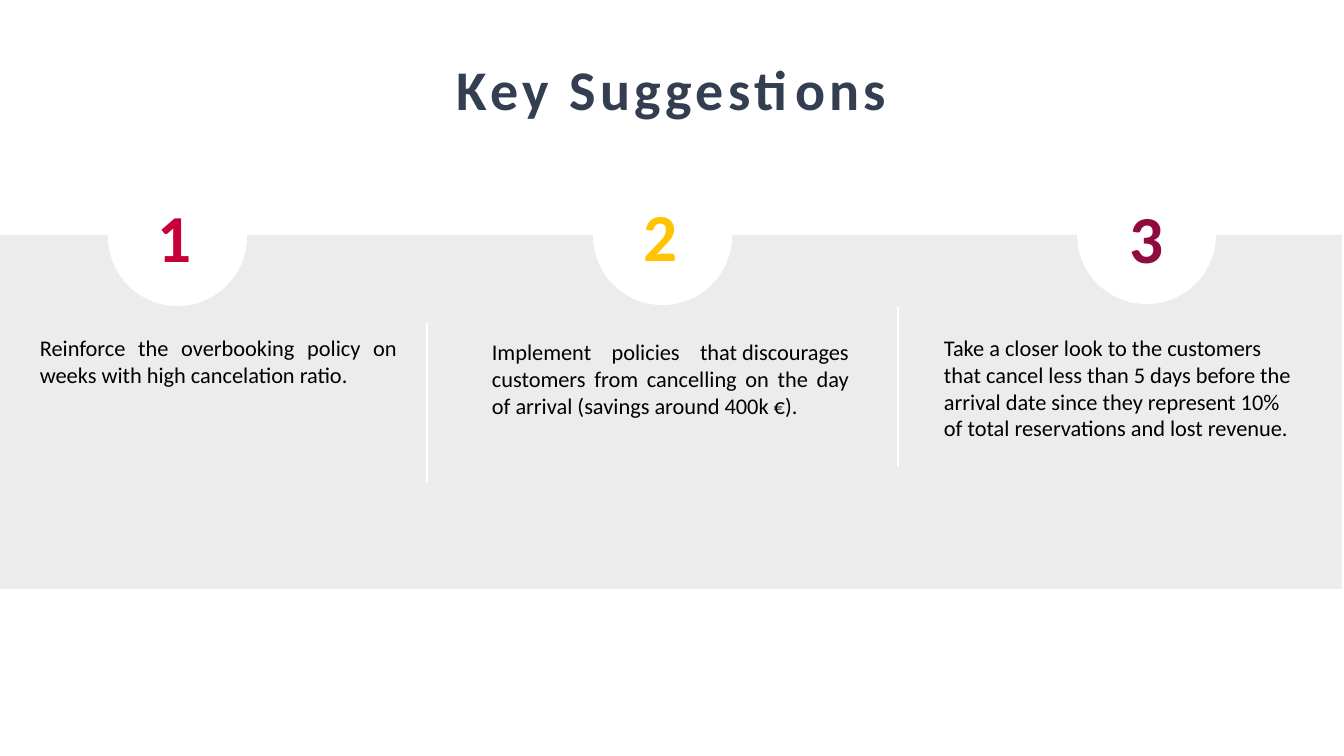
"""Build the Key Suggestions slide: three numbered tips on a grey band."""
import pptx
import pptx.util
import pptx.dml.color
import pptx.enum.shapes
import pptx.enum.text
import pptx.oxml

ALIGN = pptx.enum.text.PP_ALIGN
ANCHOR = pptx.enum.text.MSO_ANCHOR
SHAPE = pptx.enum.shapes.MSO_SHAPE

TITLE = "Key Suggestions"
TIPS = [
    {"text": "Reinforce the overbooking policy on weeks with high cancelation ratio.",
     "hue": "C70039", "box": (30, 329, 377, 65), "align": ALIGN.JUSTIFY,
     "disc": (108, 167), "digit": (147, 206)},
    {"text": "Implement policies that\u00a0discourages customers from cancelling "
             "on the day of arrival (savings around 400k €).",
     "hue": "FFC300", "box": (482, 333, 377, 92), "align": ALIGN.JUSTIFY,
     "disc": (593, 166), "digit": (633, 205)},
    {"text": "Take a closer look to the customers that cancel less than 5 days "
             "before the arrival date since they represent 10% of total "
             "reservations and lost revenue.",
     "hue": "900C3F", "box": (934, 329, 371, 119), "align": ALIGN.LEFT,
     "disc": (1077, 165), "digit": (1119, 207)},
]
RULES = [(427, 323), (898, 307)]
BAND = (0, 235, 1342, 354)
DISC, RULE = 139, 160
WIDE, HIGH = 1344, 756
SCALE = 12192000 / WIDE


def px(*nums):
    """Turn pixel lengths into EMU."""
    return [pptx.util.Emu(round(n * SCALE)) for n in nums]


def color(code):
    """Give the colour for a hex string."""
    return pptx.dml.color.RGBColor.from_string(code)


def plain(slide, kind, box, fill):
    """Add a filled shape with no line or shadow."""
    shape = slide.shapes.add_shape(kind, *px(*box))
    shape.shadow.inherit = False
    shape.fill.solid()
    shape.fill.fore_color.rgb = color(fill)
    shape.line.fill.background()


def rule(slide, x, y):
    """Add a white upright rule."""
    line = slide.shapes.add_connector(
        pptx.enum.shapes.MSO_CONNECTOR.STRAIGHT, *px(x, y, x, y + RULE))
    line.line.color.rgb = color("FFFFFF")
    line.line.width = pptx.util.Pt(1.5)
    props = line._element.spPr
    props.append(props.makeelement(pptx.oxml.ns.qn("a:effectLst"), {}))


def write(shape, text, size, hue, align, bold=False, anchor=ANCHOR.TOP):
    """Put one styled paragraph in a shape and return it."""
    frame = shape.text_frame
    frame.word_wrap = True
    frame.auto_size = pptx.enum.text.MSO_AUTO_SIZE.NONE
    frame.vertical_anchor = anchor
    para = frame.paragraphs[0]
    para.text = text
    para.alignment = align
    font = para.font
    font.name, font.size, font.bold = "Calibri", pptx.util.Pt(size), bold
    font.color.rgb = color(hue)
    return para


def main():
    """Build and save the deck."""
    deck = pptx.Presentation()
    deck.slide_width, deck.slide_height = px(WIDE, HIGH)
    slide = deck.slides.add_slide(deck.slide_layouts[5])

    title = slide.shapes.title
    title.left, title.top, title.width, title.height = px(67, 49, 1210, 78)
    head = write(title, TITLE, 40, "333F50", ALIGN.CENTER, True)
    head.runs[0].font._element.set("spc", "300")

    plain(slide, SHAPE.RECTANGLE, BAND, "ECECEC")
    for x, y in RULES:
        rule(slide, x, y)

    for num, tip in enumerate(TIPS, 1):
        plain(slide, SHAPE.OVAL, (*tip["disc"], DISC, DISC), "FFFFFF")
        digit = slide.shapes.add_textbox(*px(*tip["digit"], 55, 60))
        write(digit, str(num), 48, tip["hue"], ALIGN.CENTER, True, ANCHOR.MIDDLE)
        frame = digit.text_frame
        frame.margin_left = frame.margin_right = 0
        frame.margin_top = frame.margin_bottom = 0
        body = slide.shapes.add_textbox(*px(*tip["box"]))
        para = write(body, tip["text"], 16, "000000", tip["align"])
        para.space_before = pptx.util.Pt(9)

    deck.save("out.pptx")


if __name__ == "__main__":
    main()
